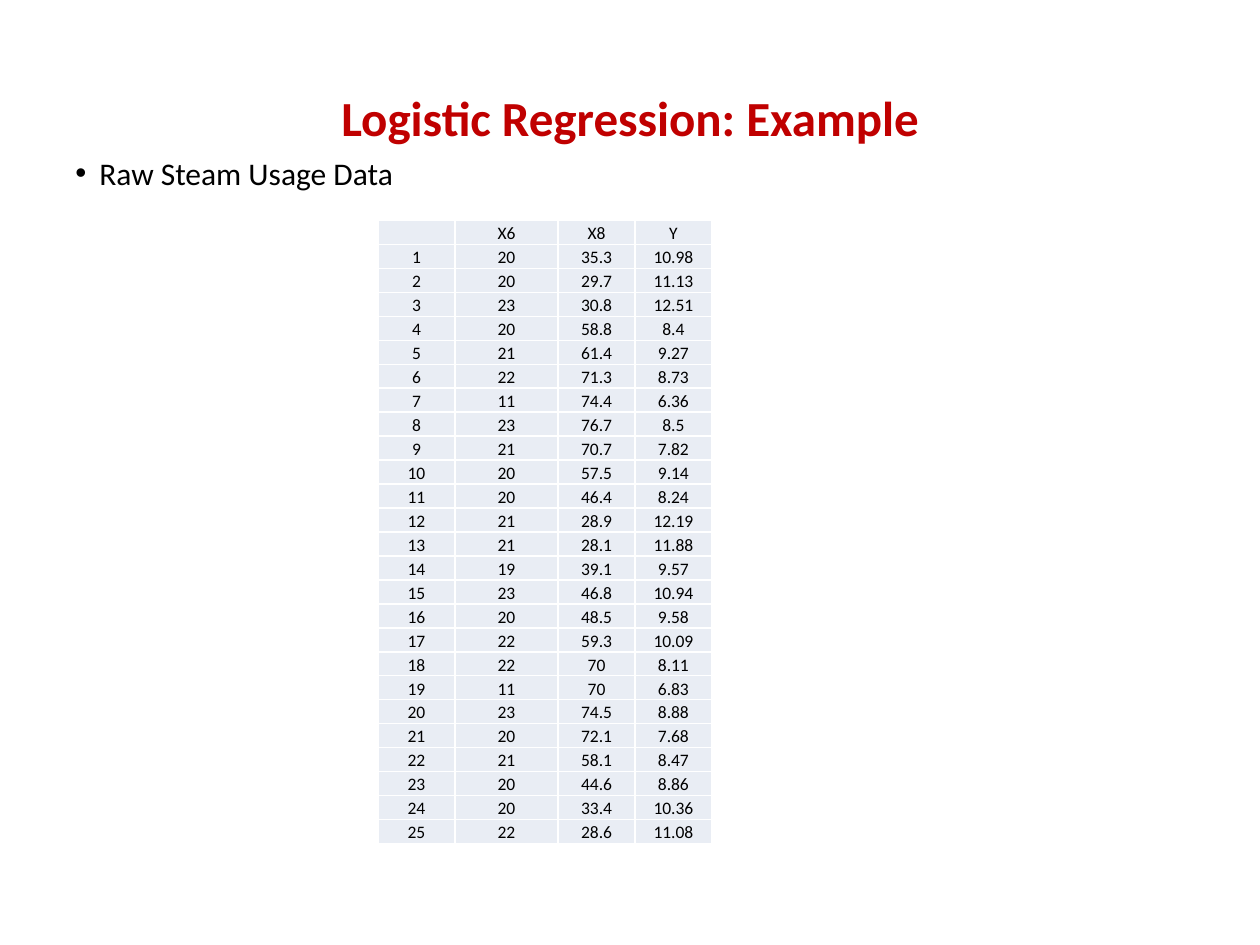
from lxml.etree import SubElement as Sub
from pptx import Presentation
from pptx.dml.color import RGBColor as RGB
from pptx.enum.text import MSO_ANCHOR as Anchor, PP_ALIGN as Align
from pptx.oxml.ns import qn
from pptx.util import Inches, Pt

COLORS = {"title": "C00000", "text": "000000", "cell": "E9EDF4", "line": "FFFFFF"}
FONT = "Calibri"
WIDTHS = [0.61, 0.82, 0.61, 0.61]
HEIGHT = 4.95
HEAD = ["", "X6", "X8", "Y"]
STEAM = [
    (20, 35.3, 10.98), (20, 29.7, 11.13), (23, 30.8, 12.51), (20, 58.8, 8.4),
    (21, 61.4, 9.27), (22, 71.3, 8.73), (11, 74.4, 6.36), (23, 76.7, 8.5),
    (21, 70.7, 7.82), (20, 57.5, 9.14), (20, 46.4, 8.24), (21, 28.9, 12.19),
    (21, 28.1, 11.88), (19, 39.1, 9.57), (23, 46.8, 10.94), (20, 48.5, 9.58),
    (22, 59.3, 10.09), (22, 70, 8.11), (11, 70, 6.83), (23, 74.5, 8.88),
    (20, 72.1, 7.68), (21, 58.1, 8.47), (20, 44.6, 8.86), (20, 33.4, 10.36),
    (22, 28.6, 11.08),
]


def style(obj, form):
    for key, val in form.items():
        setattr(obj, key, val)


def write(para, text, size, color, bold=False, align=Align.LEFT):
    para.alignment = align
    if not text:
        # An empty cell still needs a small line height
        Sub(para._p, qn("a:endParaRPr"), sz=str(size * 100))
        return
    run = para.add_run()
    run.text = text
    style(run.font, {"name": FONT, "size": Pt(size), "bold": bold})
    run.font.color.rgb = RGB.from_string(COLORS[color])


def add_text(slide, box, anchor, *args, **form):
    frame = slide.shapes.add_textbox(*map(Inches, box)).text_frame
    style(frame, {"word_wrap": True, "vertical_anchor": anchor})
    write(frame.paragraphs[0], *args, **form)
    return frame.paragraphs[0]


def add_bullet(para, indent):
    props = para._p.get_or_add_pPr()
    props.set("marL", str(Inches(indent)))
    props.set("indent", str(-Inches(indent)))
    Sub(props, qn("a:buFont"), typeface="Arial")
    Sub(props, qn("a:buChar"), char="•")


def add_edges(cell):
    props = cell._tc.get_or_add_tcPr()
    for side in "LRTB":
        line = Sub(props, qn(f"a:ln{side}"), w=str(Pt(1)))
        fill = Sub(line, qn("a:solidFill"))
        Sub(fill, qn("a:srgbClr"), val=COLORS["line"])


def fill_cell(cell, text):
    style(cell, {
        "vertical_anchor": Anchor.BOTTOM,
        "margin_left": Inches(0.01),
        "margin_right": Inches(0.01),
        "margin_top": Inches(0.01),
        "margin_bottom": 0,
    })
    add_edges(cell)
    cell.fill.solid()
    cell.fill.fore_color.rgb = RGB.from_string(COLORS["cell"])
    write(cell.text_frame.paragraphs[0], text, 10, "text", align=Align.CENTER)


def add_grid(slide, left, top, rows):
    box = map(Inches, (left, top, sum(WIDTHS), HEIGHT))
    table = slide.shapes.add_table(len(rows), len(WIDTHS), *box).table
    style(table, {"first_row": False, "horz_banding": False})
    for col, width in zip(table.columns, WIDTHS):
        col.width = Inches(width)
    for r, row in enumerate(rows):
        table.rows[r].height = Inches(HEIGHT / len(rows))
        for c, value in enumerate(row):
            fill_cell(table.cell(r, c), str(value))


def main():
    deck = Presentation()
    style(deck, {"slide_width": Inches(10), "slide_height": Inches(7.5)})
    slide = deck.slides.add_slide(deck.slide_layouts[6])

    # Title and bullet
    add_text(slide, (0.5, 0.3, 9, 1.25), Anchor.MIDDLE,
             "Logistic Regression: Example", 28, "title",
             bold=True, align=Align.CENTER)
    para = add_text(slide, (0.5, 1.17, 9, 0.4), Anchor.TOP,
                    "Raw Steam Usage Data", 18, "text")
    add_bullet(para, 0.19)

    # Data table with numbered rows
    rows = [HEAD] + [(n, *row) for n, row in enumerate(STEAM, 1)]
    add_grid(slide, 3, 1.75, rows)

    deck.save("out.pptx")


main()
